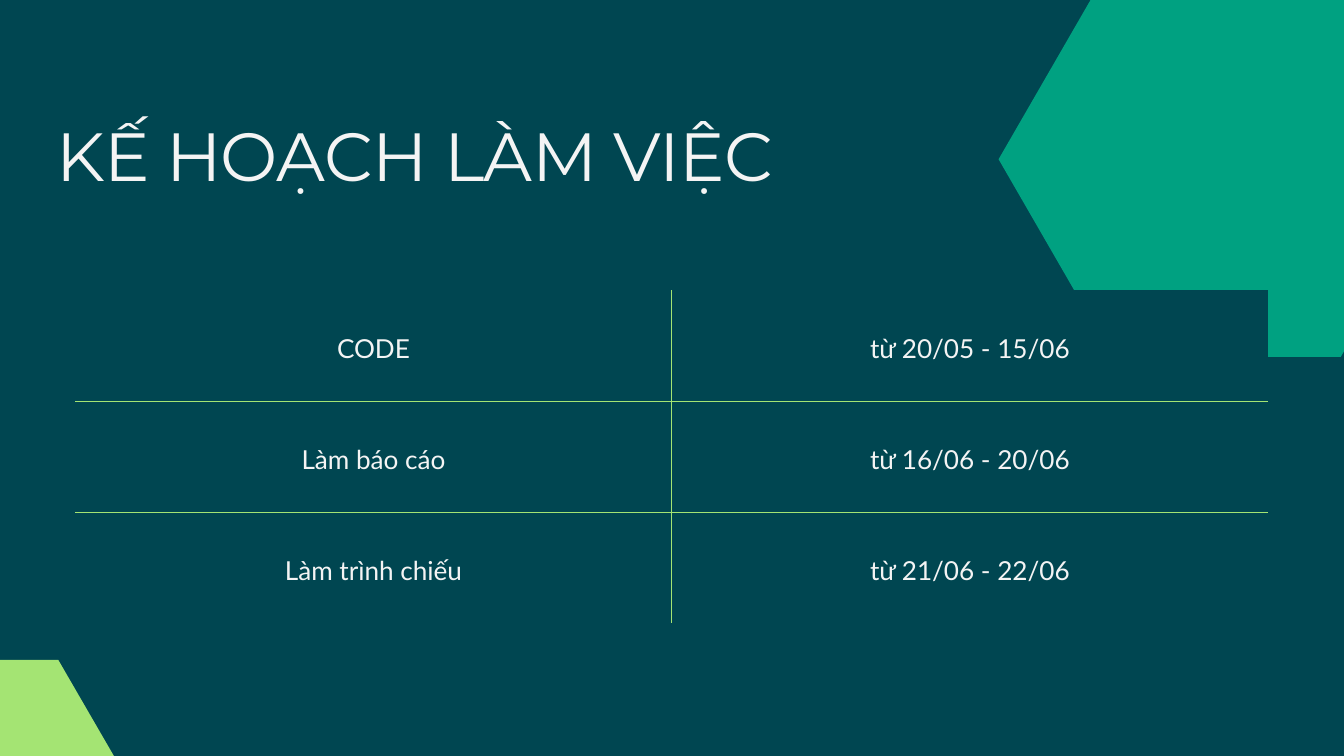
from lxml.etree import SubElement
from pptx import Presentation
from pptx.dml.color import RGBColor
from pptx.enum.text import MSO_ANCHOR, PP_ALIGN
from pptx.oxml import parse_xml
from pptx.oxml.ns import nsdecls, qn
from pptx.util import Inches, Pt

TEAL = RGBColor(0x00, 0x46, 0x51)
GREEN = RGBColor(0x00, 0xA1, 0x81)
LIME = RGBColor(0xA4, 0xE4, 0x73)
WHITE = RGBColor(0xF4, 0xF4, 0xF4)

TITLE = "KẾ HOẠCH LÀM VIỆC"
PLAN = [
    ("CODE", "từ 20/05 - 15/06"),
    ("Làm báo cáo", "từ 16/06 - 20/06"),
    ("Làm trình chiếu", "từ 21/06 - 22/06"),
]
HEXAGONS = [
    (14.86, -0.57, 6.79, 5.88, GREEN),
    (-1.72, 9.82, 3.45, 2.98, LIME),
]
HEXAGON_CORNERS = [(1, 0.5), (0.75, 1), (0.25, 1), (0, 0.5), (0.25, 0), (0.75, 0)]


def add_hexagon(slide, left, top, width, height, color):
    corners = [(Inches(left + x * width), Inches(top + y * height))
               for x, y in HEXAGON_CORNERS]
    builder = slide.shapes.build_freeform(*corners[0])
    builder.add_line_segments(corners[1:], close=True)
    hexagon = builder.convert_to_shape()
    hexagon.shadow.inherit = False
    hexagon.fill.solid()
    hexagon.fill.fore_color.rgb = color
    hexagon.line.fill.background()


def set_borders(cell, inner_sides):
    properties = cell._tc.get_or_add_tcPr()
    for index, side in enumerate("LRTB"):
        border = parse_xml(f'<a:ln{side} {nsdecls("a")}/>')
        if side in inner_sides:
            border.set("w", str(Pt(0.75)))
            fill = SubElement(border, qn("a:solidFill"))
            SubElement(fill, qn("a:srgbClr"), val=str(LIME))
        else:
            border.set("w", "0")
            SubElement(border, qn("a:noFill"))
        properties.insert(index, border)


def style(paragraph, font_name, size, line_height):
    paragraph.line_spacing = Pt(line_height)
    paragraph.font.name = font_name
    paragraph.font.size = Pt(size)
    paragraph.font.color.rgb = WHITE


def add_plan(slide):
    rows, columns = len(PLAN), len(PLAN[0])
    plan = slide.shapes.add_table(rows, columns, Inches(1.12), Inches(4.32),
                                  Inches(17.75), Inches(4.95)).table
    plan.first_row = plan.horz_banding = False
    for row, entries in enumerate(PLAN):
        for column, entry in enumerate(entries):
            cell = plan.cell(row, column)
            cell.text = entry
            cell.vertical_anchor = MSO_ANCHOR.MIDDLE
            cell.margin_left = cell.margin_right = Inches(0.21)
            cell.margin_top = cell.margin_bottom = Inches(0.21)
            cell.fill.solid()
            cell.fill.fore_color.rgb = TEAL
            paragraph = cell.text_frame.paragraphs[0]
            paragraph.alignment = PP_ALIGN.CENTER
            style(paragraph, "Lato", 28, 39.2)
            inner = {"L": column > 0, "R": column < columns - 1,
                     "T": row > 0, "B": row < rows - 1}
            set_borders(cell, [side for side, shown in inner.items() if shown])


def add_title(slide):
    title = slide.shapes.add_textbox(Inches(0.84), Inches(1.69), Inches(11.2), Inches(1.21))
    frame = title.text_frame
    frame.word_wrap = True
    frame.margin_left = frame.margin_right = frame.margin_top = frame.margin_bottom = 0
    paragraph = frame.paragraphs[0]
    run = paragraph.add_run()
    run.text = TITLE
    run._r.get_or_add_rPr().set("spc", "-70")
    style(paragraph, "Montserrat", 73, 87.6)


def main():
    presentation = Presentation()
    presentation.slide_width = Inches(20)
    presentation.slide_height = Inches(11.25)
    slide = presentation.slides.add_slide(presentation.slide_layouts[6])
    slide.background.fill.solid()
    slide.background.fill.fore_color.rgb = TEAL
    for hexagon in HEXAGONS:
        add_hexagon(slide, *hexagon)
    add_plan(slide)
    add_title(slide)
    presentation.save("out.pptx")


if __name__ == "__main__":
    main()
